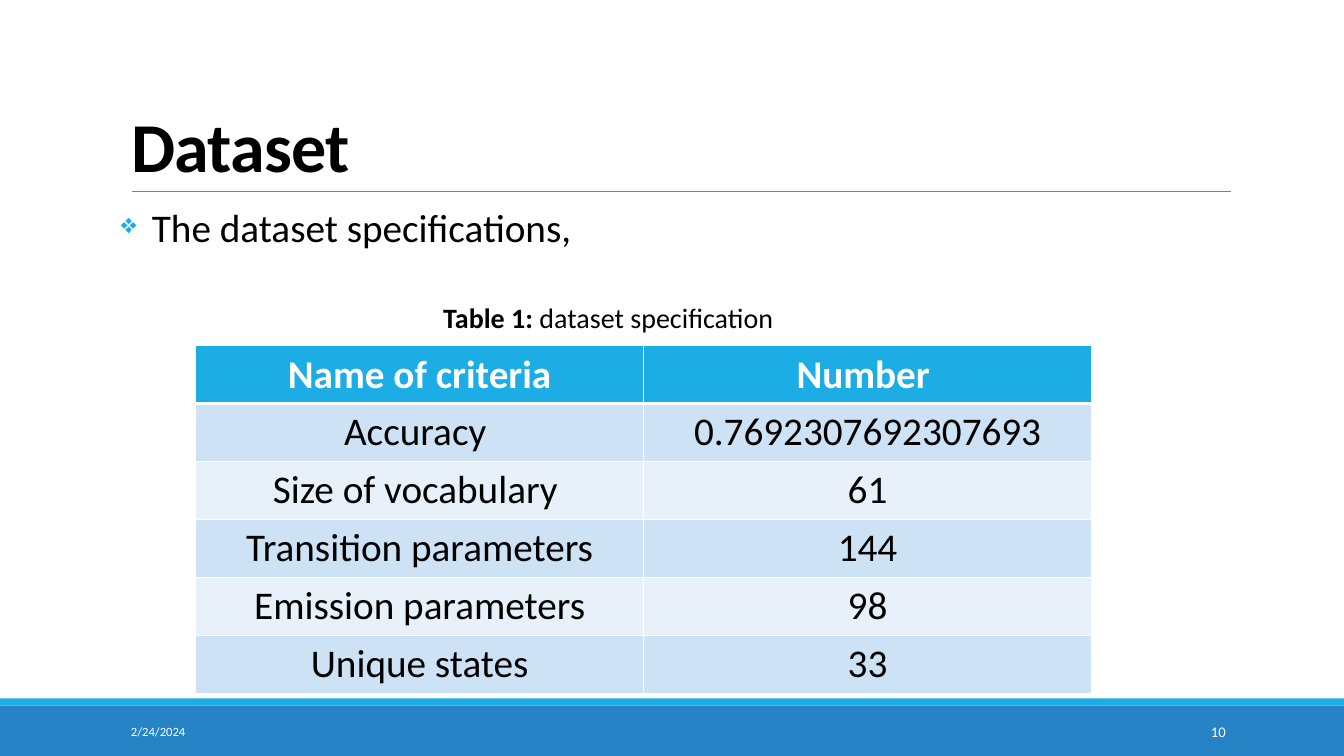
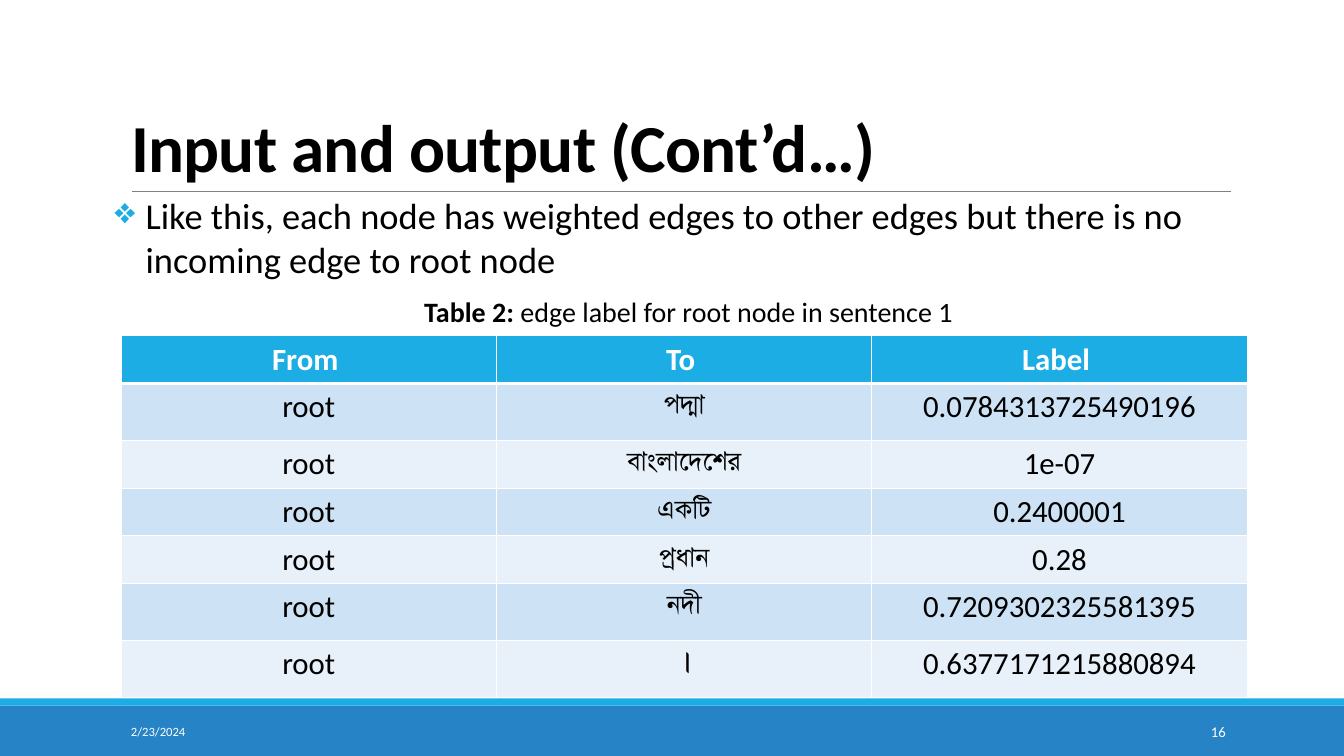
from dataclasses import dataclass

from lxml.etree import SubElement
from pptx import Presentation
from pptx.dml.color import RGBColor
from pptx.enum.shapes import MSO_CONNECTOR, MSO_SHAPE
from pptx.enum.text import MSO_ANCHOR, PP_ALIGN
from pptx.oxml.ns import qn
from pptx.presentation import Presentation as Deck
from pptx.slide import Slide
from pptx.table import _Cell as Cell
from pptx.text.text import TextFrame, _Paragraph as Paragraph
from pptx.util import Cm, Pt


@dataclass(frozen=True)
class Theme:
    font: str = "Calibri"
    bengali_font: str = "Times New Roman"
    text: str = "000000"
    white: str = "FFFFFF"
    accent: str = "1CADE4"
    band: str = "2683C6"
    rule: str = "808080"
    row_fills: tuple[str, str] = ("CDE3F5", "E8F1FA")
    caption_size: float = 20
    date_size: float = 9
    number_size: float = 10.5


@dataclass(frozen=True)
class Box:
    left: float
    top: float
    width: float
    height: float

    def lengths(self) -> tuple[Cm, Cm, Cm, Cm]:
        return Cm(self.left), Cm(self.top), Cm(self.width), Cm(self.height)


@dataclass(frozen=True)
class Bullet:
    text: str
    box: Box
    size: float
    side_inset: float
    marker_percent: int
    line_spacing: float


@dataclass(frozen=True)
class Caption:
    label: str
    text: str
    box: Box


@dataclass(frozen=True)
class TableData:
    left: float
    top: float
    column_width: float
    row_heights: tuple[float, ...]
    size: float
    rows: tuple[tuple[str, ...], ...]
    bengali_column: int | None = None


@dataclass(frozen=True)
class TableSlide:
    title: str
    title_size: float
    date: str
    number: str
    bullet: Bullet
    caption: Caption
    table: TableData


THEME = Theme()
SLIDE_WIDTH, SLIDE_HEIGHT = 33.87, 19.05
TITLE_BOX = Box(3.05, 0.79, 27.94, 4.04)
RULE_LEFT, RULE_RIGHT, RULE_TOP = 3.33, 31.01, 4.83
BANDS = (
    (Box(0, 17.78, SLIDE_WIDTH, 1.27), THEME.band),
    (Box(0, 17.6, SLIDE_WIDTH, 0.18), THEME.accent),
)
DATE_BOX = Box(3.05, 17.93, 6.86, 1.02)
NUMBER_BOX = Box(27.51, 17.93, 3.63, 1.02)
BULLET_INDENT = 0.78

EDGES = (
    ("পদ্মা", "0.0784313725490196"),
    ("বাংলাদেশের", "1e-07"),
    ("একটি", "0.2400001"),
    ("প্রধান", "0.28"),
    ("নদী", "0.7209302325581395"),
    ("।", "0.6377171215880894"),
)

SLIDES = (
    TableSlide(
        title="Dataset",
        title_size=50,
        date="2/24/2024",
        number="10",
        bullet=Bullet("The dataset specifications,", Box(3.05, 5.13, 27.94, 11.18),
                      size=28, side_inset=0, marker_percent=71, line_spacing=0.9),
        caption=Caption("Table 1:", " dataset specification", Box(10.92, 7.44, 9.5, 1.12)),
        table=TableData(
            left=4.93, top=8.71, column_width=11.29, row_heights=(1.46,) * 6, size=28,
            rows=(
                ("Name of criteria", "Number "),
                ("Accuracy ", "0.7692307692307693"),
                ("Size of vocabulary ", "61"),
                ("Transition parameters", "144"),
                ("Emission parameters", "98"),
                ("Unique states", "33"),
            ),
        ),
    ),
    TableSlide(
        title="Input and output (Cont’d…)",
        title_size=48,
        date="2/23/2024",
        number="16",
        bullet=Bullet(
            "Like this, each node has weighted edges to other edges but there is no "
            "incoming edge to root node",
            Box(2.64, 4.75, 30.81, 2.49),
            size=26, side_inset=0.25, marker_percent=100, line_spacing=1),
        caption=Caption("Table 2:", " edge label for root node in sentence 1",
                        Box(10.44, 7.29, 14.76, 1.12)),
        table=TableData(
            left=3.05, top=8.46, column_width=9.46,
            row_heights=(1.2, 1.44, 1.2, 1.2, 1.2, 1.44, 1.44), size=22,
            rows=(("From ", "To ", "Label "),
                  *(("root", word, weight) for word, weight in EDGES)),
            bengali_column=1,
        ),
    ),
)


def add_text(paragraph: Paragraph, text: str, *, size: float, color: str = THEME.text,
             bold: bool = False, font: str = THEME.font, spacing: float = 0,
             align: PP_ALIGN = PP_ALIGN.LEFT) -> None:
    """Append one formatted run; spacing is the letter spacing in points."""
    paragraph.alignment = align
    run = paragraph.add_run()
    run.text = text
    run.font.name = font
    run.font.size = Pt(size)
    run.font.bold = bold
    run.font.color.rgb = RGBColor.from_string(color)
    properties = run.font._element
    SubElement(properties, qn("a:cs"), typeface=font)
    if spacing:
        properties.set("spc", str(round(spacing * 100)))


def add_text_frame(slide: Slide, box: Box, anchor: MSO_ANCHOR = MSO_ANCHOR.TOP) -> TextFrame:
    frame = slide.shapes.add_textbox(*box.lengths()).text_frame
    frame.word_wrap = True
    frame.vertical_anchor = anchor
    return frame


def add_bands(slide: Slide) -> None:
    for box, color in BANDS:
        band = slide.shapes.add_shape(MSO_SHAPE.RECTANGLE, *box.lengths())
        band.shadow.inherit = False
        band.fill.solid()
        band.fill.fore_color.rgb = RGBColor.from_string(color)
        band.line.fill.background()


def add_title_rule(slide: Slide) -> None:
    rule = slide.shapes.add_connector(MSO_CONNECTOR.STRAIGHT, Cm(RULE_LEFT), Cm(RULE_TOP),
                                      Cm(RULE_RIGHT), Cm(RULE_TOP))
    rule.line.color.rgb = RGBColor.from_string(THEME.rule)
    rule.line.width = Pt(0.5)
    SubElement(rule._element.spPr, qn("a:effectLst"))


def add_footer(slide: Slide, date: str, number: str) -> None:
    for box, text, size, align in (
        (DATE_BOX, date, THEME.date_size, PP_ALIGN.LEFT),
        (NUMBER_BOX, number, THEME.number_size, PP_ALIGN.RIGHT),
    ):
        frame = add_text_frame(slide, box, MSO_ANCHOR.MIDDLE)
        add_text(frame.paragraphs[0], text, size=size, color=THEME.white, align=align)


def set_title(slide: Slide, text: str, size: float) -> None:
    title = slide.shapes.title
    title.left, title.top, title.width, title.height = TITLE_BOX.lengths()
    frame = title.text_frame
    frame.word_wrap = True
    frame.vertical_anchor = MSO_ANCHOR.BOTTOM
    paragraph = frame.paragraphs[0]
    paragraph.line_spacing = 0.85
    add_text(paragraph, text, size=size, bold=True, spacing=-0.5)


def add_bullet(slide: Slide, bullet: Bullet) -> None:
    frame = add_text_frame(slide, bullet.box)
    frame.margin_left = frame.margin_right = Cm(bullet.side_inset)
    paragraph = frame.paragraphs[0]
    paragraph.line_spacing = bullet.line_spacing
    add_text(paragraph, bullet.text, size=bullet.size)
    properties = paragraph._p.get_or_add_pPr()
    properties.set("marL", str(Cm(BULLET_INDENT)))
    properties.set("indent", str(-Cm(BULLET_INDENT)))
    color = SubElement(properties, qn("a:buClr"))
    SubElement(color, qn("a:srgbClr"), val=THEME.accent)
    SubElement(properties, qn("a:buSzPct"), val=str(bullet.marker_percent * 1000))
    SubElement(properties, qn("a:buChar"), char="❖")


def add_caption(slide: Slide, caption: Caption) -> None:
    paragraph = add_text_frame(slide, caption.box).paragraphs[0]
    add_text(paragraph, caption.label, size=THEME.caption_size, bold=True)
    add_text(paragraph, caption.text, size=THEME.caption_size)


def set_borders(cell: Cell, top: float, bottom: float) -> None:
    """Draw white borders; call before filling, as borders precede the fill in the XML."""
    properties = cell._tc.get_or_add_tcPr()
    for side, width in (("L", 1), ("R", 1), ("T", top), ("B", bottom)):
        border = SubElement(properties, qn(f"a:ln{side}"), w=str(Pt(width)))
        fill = SubElement(border, qn("a:solidFill"))
        SubElement(fill, qn("a:srgbClr"), val=THEME.white)


def add_data_table(slide: Slide, data: TableData) -> None:
    column_count = len(data.rows[0])
    box = Box(data.left, data.top, data.column_width * column_count, sum(data.row_heights))
    table = slide.shapes.add_table(len(data.rows), column_count, *box.lengths()).table
    for column in table.columns:
        column.width = Cm(data.column_width)
    for row_index, (texts, height) in enumerate(zip(data.rows, data.row_heights)):
        table.rows[row_index].height = Cm(height)
        header = row_index == 0
        fill = THEME.accent if header else THEME.row_fills[(row_index - 1) % 2]
        for column_index, text in enumerate(texts):
            cell = table.cell(row_index, column_index)
            set_borders(cell, top=3 if row_index == 1 else 1, bottom=3 if header else 1)
            cell.fill.solid()
            cell.fill.fore_color.rgb = RGBColor.from_string(fill)
            bengali = not header and column_index == data.bengali_column
            add_text(cell.text_frame.paragraphs[0], text, size=data.size, bold=header,
                     color=THEME.white if header else THEME.text,
                     font=THEME.bengali_font if bengali else THEME.font,
                     align=PP_ALIGN.CENTER)


def add_table_slide(presentation: Deck, content: TableSlide) -> None:
    slide = presentation.slides.add_slide(presentation.slide_layouts.get_by_name("Title Only"))
    add_bands(slide)
    add_title_rule(slide)
    set_title(slide, content.title, content.title_size)
    add_bullet(slide, content.bullet)
    add_caption(slide, content.caption)
    add_data_table(slide, content.table)
    add_footer(slide, content.date, content.number)


def main() -> None:
    presentation = Presentation()
    presentation.slide_width = Cm(SLIDE_WIDTH)
    presentation.slide_height = Cm(SLIDE_HEIGHT)
    for content in SLIDES:
        add_table_slide(presentation, content)
    presentation.save("out.pptx")


if __name__ == "__main__":
    main()
